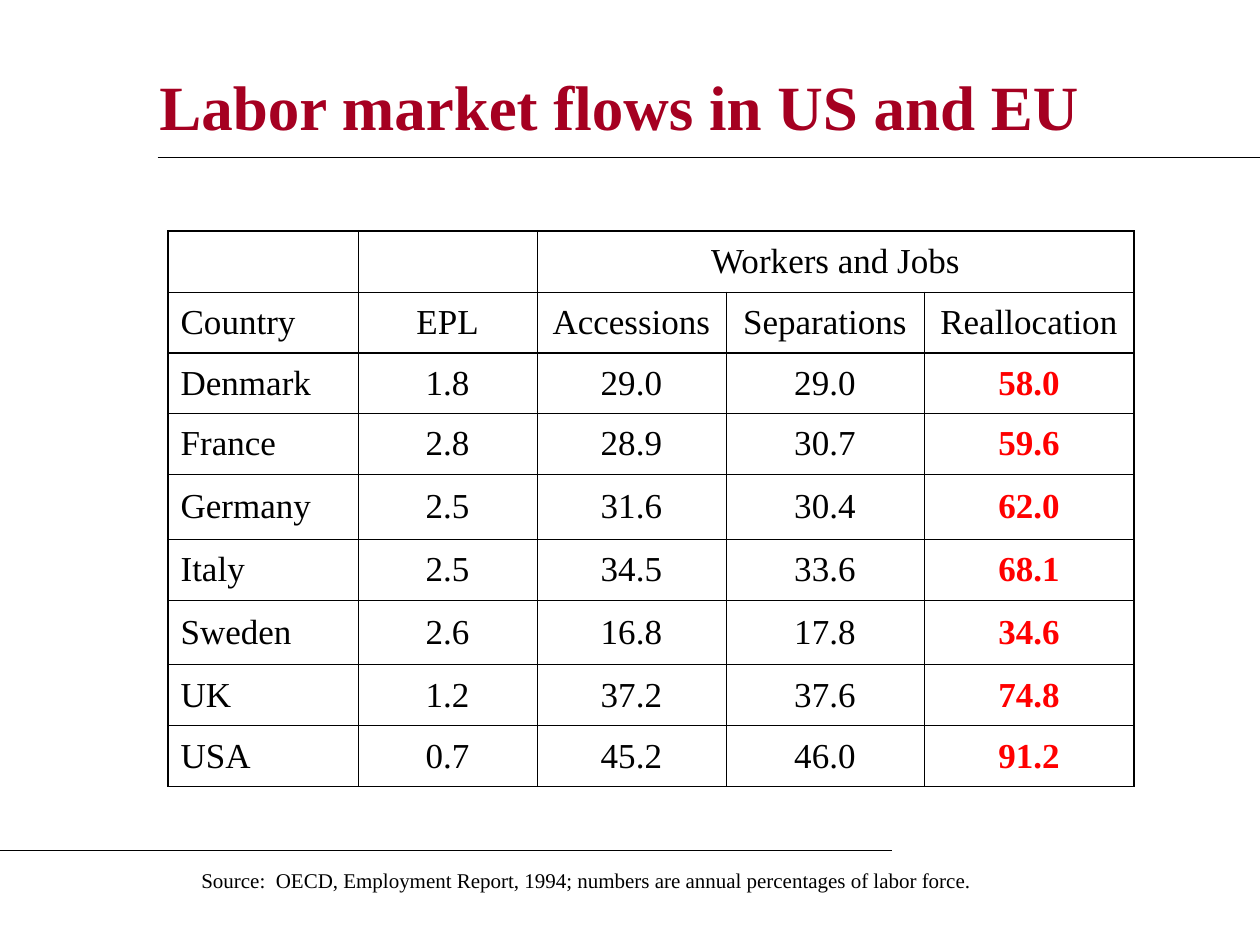
from typing import NamedTuple

from lxml import etree
from pptx import Presentation
from pptx import util as u
from pptx.dml.color import RGBColor
from pptx.enum import shapes, text
from pptx.oxml import ns

Pt = u.Pt
FONT = "Times New Roman"
BLACK, CRIMSON, RED = "000000", "A50021", "FF0000"
THIN, HEAVY = 0.45, 1.08
LEFT, CENTER = text.PP_ALIGN.LEFT, text.PP_ALIGN.CENTER
TOP, MIDDLE = text.MSO_ANCHOR.TOP, text.MSO_ANCHOR.MIDDLE


class Rule(NamedTuple):
    start: float
    end: float
    y: float


class Country(NamedTuple):
    name: str
    epl: float
    accessions: float
    separations: float
    reallocation: float


RULES = [Rule(90, 720, 90), Rule(0, 510, 486)]
HEADINGS = ["Country", "EPL", "Accessions", "Separations", "Reallocation"]
COUNTRIES = [
    Country("Denmark", 1.8, 29.0, 29.0, 58.0),
    Country("France", 2.8, 28.9, 30.7, 59.6),
    Country("Germany", 2.5, 31.6, 30.4, 62.0),
    Country("Italy", 2.5, 34.5, 33.6, 68.1),
    Country("Sweden", 2.6, 16.8, 17.8, 34.6),
    Country("UK", 1.2, 37.2, 37.6, 74.8),
    Country("USA", 0.7, 45.2, 46.0, 91.2),
]
HEADER_ROWS = 2
COLUMN_WIDTHS = [108.8, 102, 108, 113.2, 120]
ROW_HEIGHT = 34.8
TALL_ROWS = {"Germany": 37.2, "Sweden": 36.8}


def color(code: str) -> RGBColor:
    return RGBColor.from_string(code)


def write(para, words: str, *, size: float, fill: str = BLACK,
          bold: bool = False, align=LEFT) -> None:
    para.alignment = align
    span = para.add_run()
    span.text = words
    span.font.name = FONT
    span.font.size = Pt(size)
    span.font.bold = bold
    span.font.color.rgb = color(fill)


def add_text(page, words: str, left: float, top: float, width: float,
             height: float, *, anchor=TOP, **style) -> None:
    box = page.shapes.add_textbox(Pt(left), Pt(top), Pt(width), Pt(height))
    box.text_frame.word_wrap = True
    box.text_frame.vertical_anchor = anchor
    write(box.text_frame.paragraphs[0], words, **style)


def add_rule(page, rule: Rule) -> None:
    line = page.shapes.add_connector(
        shapes.MSO_CONNECTOR.STRAIGHT,
        Pt(rule.start), Pt(rule.y), Pt(rule.end), Pt(rule.y))
    line.line.color.rgb = color(BLACK)
    line.line.width = Pt(0.75)
    etree.SubElement(line._element.spPr, ns.qn("a:effectLst"))


def set_borders(cell, **heavy: bool) -> None:
    """Draw the sides L, R, T and B, heavy where the flag is true."""
    properties = cell._tc.get_or_add_tcPr()
    for side, is_heavy in heavy.items():
        width = Pt(HEAVY if is_heavy else THIN)
        border = etree.SubElement(properties, ns.qn(f"a:ln{side}"), w=str(width))
        fill = etree.SubElement(border, ns.qn("a:solidFill"))
        etree.SubElement(fill, ns.qn("a:srgbClr"), val=BLACK)


def add_flow_table(page, left: float, top: float) -> None:
    rows = [["", "", "Workers and Jobs", "", ""], HEADINGS]
    rows += [[c.name] + [f"{value:.1f}" for value in c[1:]] for c in COUNTRIES]
    heights = [TALL_ROWS.get(row[0], ROW_HEIGHT) for row in rows]
    last_row, last_column = len(rows) - 1, len(HEADINGS) - 1

    table = page.shapes.add_table(
        len(rows), len(HEADINGS), Pt(left), Pt(top),
        Pt(sum(COLUMN_WIDTHS)), Pt(sum(heights))).table
    table.first_row = table.horz_banding = False
    for column, width in zip(table.columns, COLUMN_WIDTHS):
        column.width = Pt(width)
    for row, height in zip(table.rows, heights):
        row.height = Pt(height)
    table.cell(0, 2).merge(table.cell(0, last_column))

    for r, row in enumerate(rows):
        for c, words in enumerate(row):
            cell = table.cell(r, c)
            set_borders(
                cell,
                L=c == 0,
                R=c + cell.span_width - 1 == last_column,
                T=r in (0, HEADER_ROWS),
                B=r in (HEADER_ROWS - 1, last_row))
            cell.fill.background()
            cell.vertical_anchor = MIDDLE
            if words:
                key = r >= HEADER_ROWS and c == last_column
                write(cell.text_frame.paragraphs[0], words, size=20,
                      fill=RED if key else BLACK, bold=key,
                      align=CENTER if c else LEFT)


def main() -> None:
    deck = Presentation()
    deck.slide_width, deck.slide_height = Pt(720), Pt(540)
    page = deck.slides.add_slide(deck.slide_layouts[6])
    add_text(page, "Labor market flows in US and EU", 84, 18, 612, 84,
             anchor=MIDDLE, size=36, fill=CRIMSON, bold=True)
    for rule in RULES:
        add_rule(page, rule)
    add_flow_table(page, 96, 132)
    add_text(page, "Source:  OECD, Employment Report, 1994; numbers are annual "
             "percentages of labor force.", 108, 492, 462, 21.6, size=12)
    deck.save("out.pptx")


if __name__ == "__main__":
    main()
